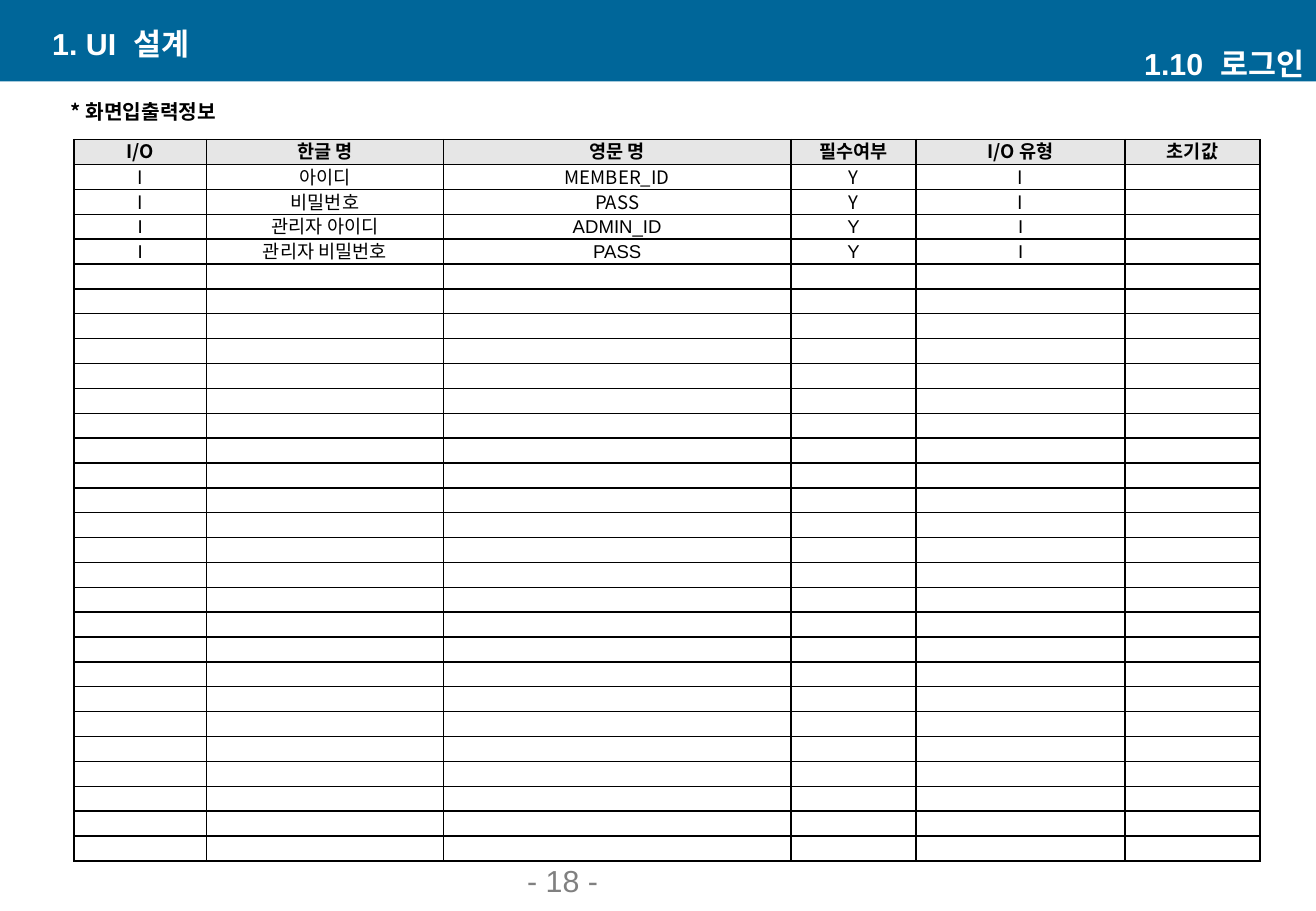
from dataclasses import dataclass

from lxml import etree
from pptx import Presentation
from pptx.dml.color import RGBColor
from pptx.enum.shapes import MSO_SHAPE
from pptx.enum.text import MSO_ANCHOR, MSO_AUTO_SIZE, PP_ALIGN
from pptx.oxml.ns import qn
from pptx.util import Inches, Pt

RECTANGLE = MSO_SHAPE.RECTANGLE
TOP, MIDDLE, BOTTOM = MSO_ANCHOR.TOP, MSO_ANCHOR.MIDDLE, MSO_ANCHOR.BOTTOM
LEFT, CENTER, RIGHT = PP_ALIGN.LEFT, PP_ALIGN.CENTER, PP_ALIGN.RIGHT
NO_AUTOFIT = MSO_AUTO_SIZE.NONE

BLUE = RGBColor(0x00, 0x66, 0x99)
WHITE = RGBColor(0xFF, 0xFF, 0xFF)
BLACK = RGBColor(0x00, 0x00, 0x00)
GRAY = RGBColor(0x80, 0x80, 0x80)
HEADER_GRAY = RGBColor(0xE6, 0xE6, 0xE6)

LATIN_FONT = "Arial"
KOREAN_FONT = "Noto Sans CJK KR"
TITLE_ONLY_LAYOUT = 5

COLUMN_WIDTHS = [1.09, 1.95, 2.86, 1.03, 1.72, 1.11]
ROW_COUNT = 29
TABLE_HEIGHT = 5.94
CELL_SIZE = 11
HEADERS = ["I/O", "한글 명", "영문 명", "필수여부", "I/O 유형", "초기값"]


@dataclass
class TextStyle:
    size: float
    color: RGBColor
    bold: bool = False
    font: str = LATIN_FONT


@dataclass
class Label:
    text: str
    left: float
    top: float
    width: float
    height: float
    style: TextStyle
    align: PP_ALIGN = LEFT
    anchor: MSO_ANCHOR = MIDDLE
    wrap: bool = True


@dataclass
class Field:
    korean_name: str
    english_name: str
    font: str


HEADING = TextStyle(18, WHITE, bold=True)
SECTION_TITLE = Label("1. UI  설계", 0.33, 0.19, 4.38, 0.33, HEADING)
LABELS = [
    Label("1.10  로그인", 6.45, 0.36, 4.38, 0.33, HEADING, RIGHT),
    Label("* 화면입출력정보", 0.42, 0.77, 1.52, 0.29,
          TextStyle(12, BLACK, True, KOREAN_FONT), CENTER, TOP, False),
    Label("- 18 -", 4.24, 7.14, 2.26, 0.31, TextStyle(18, GRAY), LEFT, BOTTOM),
]
FIELDS = [
    Field("아이디", "MEMBER_ID", KOREAN_FONT),
    Field("비밀번호", "PASS", KOREAN_FONT),
    Field("관리자 아이디", "ADMIN_ID", LATIN_FONT),
    Field("관리자 비밀번호", "PASS", LATIN_FONT),
]


def add_text(paragraph, text: str, style: TextStyle) -> None:
    run = paragraph.add_run()
    run.text = text
    run.font.size = Pt(style.size)
    run.font.bold = style.bold
    run.font.name = style.font
    run.font.color.rgb = style.color
    east_asian = etree.Element(qn("a:ea"), typeface=KOREAN_FONT)
    run.font._element.find(qn("a:latin")).addnext(east_asian)


def fill_label(shape, label: Label) -> None:
    shape.left, shape.top = Inches(label.left), Inches(label.top)
    shape.width, shape.height = Inches(label.width), Inches(label.height)
    frame = shape.text_frame
    frame.auto_size = NO_AUTOFIT
    frame.word_wrap = label.wrap
    frame.vertical_anchor = label.anchor
    paragraph = frame.paragraphs[0]
    paragraph.alignment = label.align
    add_text(paragraph, label.text, label.style)


def set_borders(cell) -> None:
    properties = cell._tc.get_or_add_tcPr()
    for index, side in enumerate(("a:lnL", "a:lnR", "a:lnT", "a:lnB")):
        line = etree.Element(qn(side), w=str(Pt(1)))
        fill = etree.SubElement(line, qn("a:solidFill"))
        etree.SubElement(fill, qn("a:srgbClr"), val=str(BLACK))
        properties.insert(index, line)


def fill_cell(cell, text: str, style: TextStyle, is_header: bool) -> None:
    side_margin = Inches(0.07 if is_header else 0.01)
    cell.margin_left = cell.margin_right = side_margin
    cell.margin_top = cell.margin_bottom = 0
    is_latin = style.font == LATIN_FONT and text.isascii()
    cell.vertical_anchor = MIDDLE if is_header or is_latin else BOTTOM
    if is_header:
        cell.fill.solid()
        cell.fill.fore_color.rgb = HEADER_GRAY
    else:
        cell.fill.background()
    set_borders(cell)
    paragraph = cell.text_frame.paragraphs[0]
    paragraph.alignment = CENTER
    if not is_latin:
        # Exact spacing keeps the tall Korean font inside the row
        paragraph.line_spacing = Pt(14)
    if text:
        add_text(paragraph, text, style)
    else:
        # Keeps an empty row from growing to the default text size
        etree.SubElement(paragraph._p, qn("a:endParaRPr"), sz=str(CELL_SIZE * 100))


def add_field_table(slide) -> None:
    table = slide.shapes.add_table(
        ROW_COUNT, len(COLUMN_WIDTHS), Inches(0.61), Inches(1.15),
        Inches(sum(COLUMN_WIDTHS)), Inches(TABLE_HEIGHT)).table
    table.first_row = False
    table.horz_banding = False
    for column, width in zip(table.columns, COLUMN_WIDTHS):
        column.width = Inches(width)
    for row in table.rows:
        row.height = Inches(TABLE_HEIGHT / ROW_COUNT)

    header_style = TextStyle(CELL_SIZE, BLACK, True, KOREAN_FONT)
    rows = [(HEADERS, header_style)]
    for field in FIELDS:
        values = ["I", field.korean_name, field.english_name, "Y", "I", ""]
        rows.append((values, TextStyle(CELL_SIZE, BLACK, font=field.font)))
    empty_row = ([""] * len(HEADERS), header_style)
    rows += [empty_row] * (ROW_COUNT - len(rows))

    for row_index, (values, style) in enumerate(rows):
        for column_index, text in enumerate(values):
            fill_cell(table.cell(row_index, column_index), text, style, row_index == 0)


def main() -> None:
    presentation = Presentation()
    presentation.slide_width = Inches(10.83)
    presentation.slide_height = Inches(7.5)
    slide = presentation.slides.add_slide(presentation.slide_layouts[TITLE_ONLY_LAYOUT])

    # Header band, behind the title
    band = slide.shapes.add_shape(RECTANGLE, 0, 0, presentation.slide_width, Inches(0.67))
    band.shadow.inherit = False
    band.fill.solid()
    band.fill.fore_color.rgb = BLUE
    band.line.fill.background()
    title = slide.shapes.title
    title._element.addprevious(band._element)
    fill_label(title, SECTION_TITLE)

    # Input and output fields
    add_field_table(slide)

    # Screen name, table heading and page number
    for label in LABELS:
        box = slide.shapes.add_textbox(0, 0, 0, 0)
        fill_label(box, label)

    presentation.save("out.pptx")


if __name__ == "__main__":
    main()
